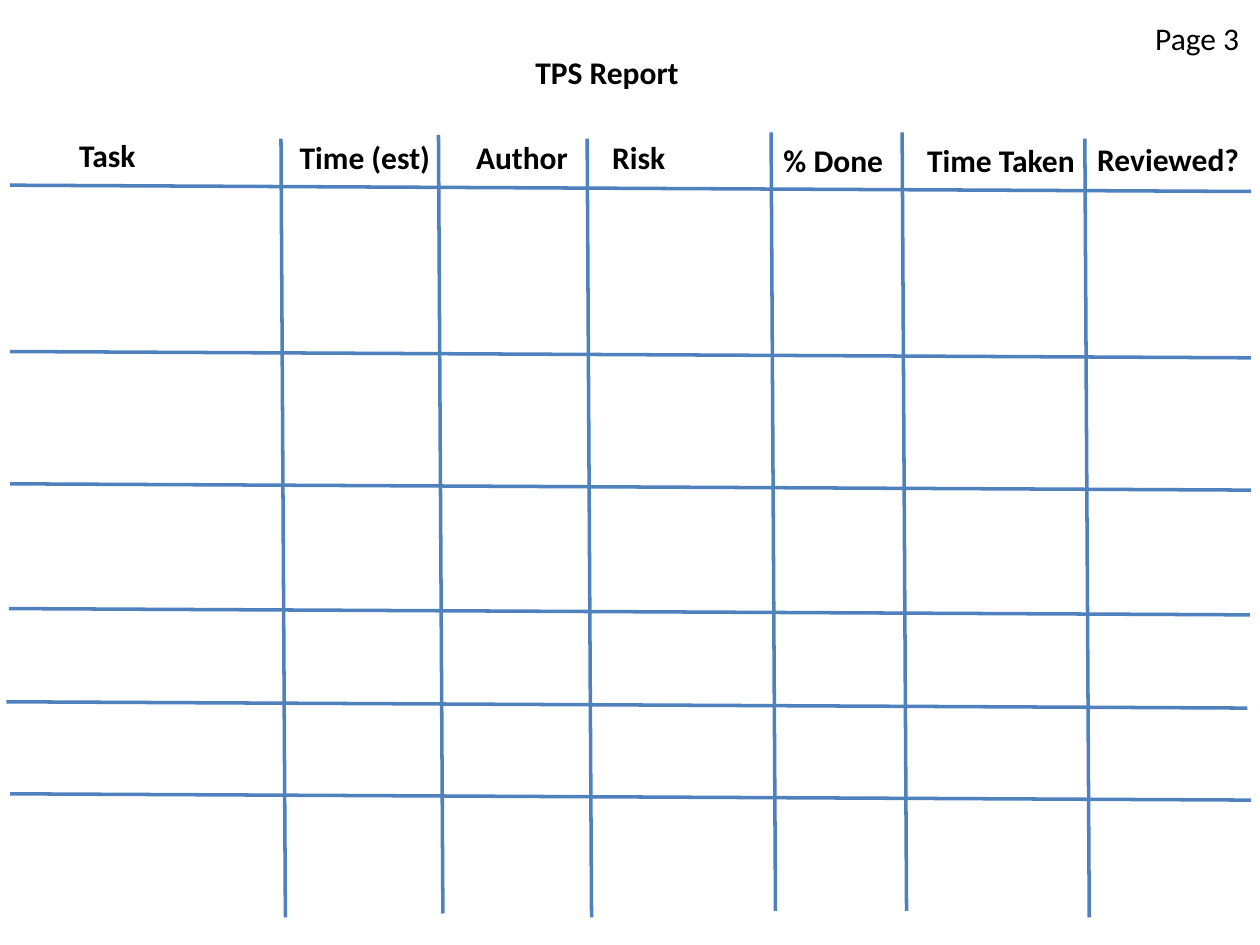
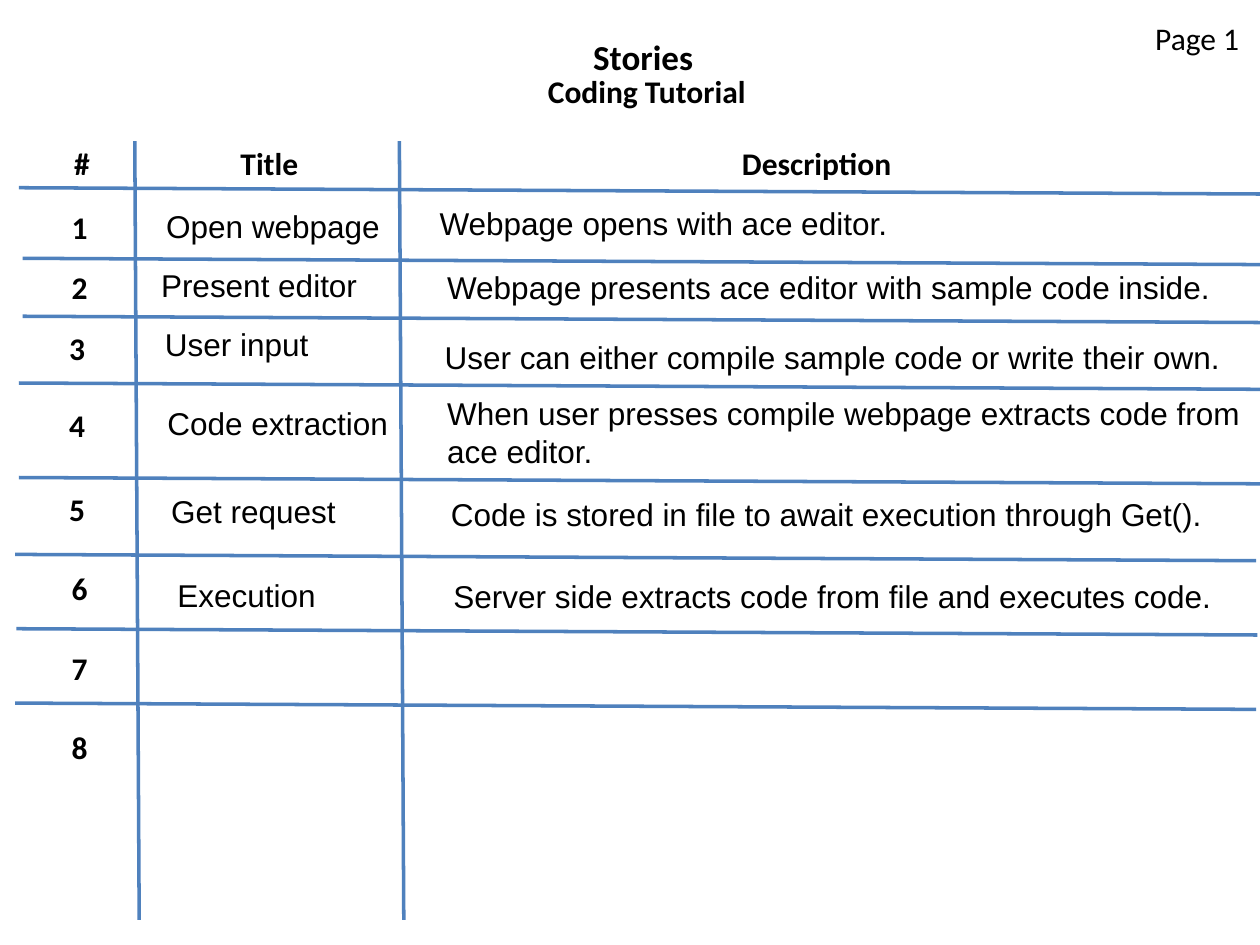
import pptx
import pptx.util
import pptx.dml.color
import pptx.enum.shapes
import pptx.enum.text
import pptx.oxml

BLACK = pptx.dml.color.RGBColor(0x00, 0x00, 0x00)
RULE_BLUE = pptx.dml.color.RGBColor(0x4F, 0x81, 0xBD)
HEADING_FONT = "Calibri"
BODY_FONT = "Arial"

SLIDE_WIDTH = pptx.util.Inches(10)
SLIDE_HEIGHT = pptx.util.Inches(7.5)
COLUMN = SLIDE_WIDTH / 100
ROW = SLIDE_HEIGHT / 75

LINE_HEIGHT = 4
LABEL_SLACK = 0.5
ROW_RULE_LENGTH, ROW_RULE_DROP = 98.5, 0.5
COLUMN_RULE_LENGTH, COLUMN_RULE_DRIFT = 61.8, 0.35
REPORT_HEADING_WIDTH = 15.2
NUMBER_WIDTH = 3.2

REPORT_HEADINGS = [
    ("Task", 5.3, 10.3),
    ("Time (est)", 22.8, 10.5),
    ("Author", 36.8, 10.5),
    ("Risk", 47.6, 10.5),
    ("% Done", 61.2, 10.7),
    ("Time Taken", 72.6, 10.7),
    ("Reviewed?", 86.1, 10.6),
]
REPORT_COLUMN_RULES = [
    (22.3, 11), (34.8, 10.7), (46.6, 11), (61.2, 10.5), (71.6, 10.5), (86.1, 11),
]
REPORT_ROW_RULES = [
    (0.8, 14.7), (0.8, 27.9), (0.8, 38.4), (0.7, 48.3), (0.5, 55.7), (0.8, 63),
]

STORY_HEADINGS = [("#", 4.9, 3.2), ("Title", 18.1, 6.6), ("Description", 57.9, 13.9)]
STORY_HEADING_TOP = 10.9
STORY_COLUMN_RULES = [(10.7, 11.2), (31.7, 11.2)]
STORY_ROW_RULES = [
    (1.5, 14.9), (1.8, 20.5), (1.8, 25.1), (1.5, 30.4),
    (1.5, 37.9), (1.2, 44), (1.3, 49.9), (1.2, 55.8),
]
STORY_NUMBERS = [
    (4.7, 16), (4.7, 20.8), (4.5, 25.6), (4.5, 31.7),
    (4.5, 38.4), (4.7, 44.7), (4.7, 51), (4.7, 57.3),
]
STORY_TITLES = [
    ("Open webpage", 12.2, 15.9, 18.9),
    ("Present editor", 11.8, 20.6, 17.5),
    ("User input", 12.1, 25.3, 13.3),
    ("Code extraction", 12.3, 31.6, 19.4),
    ("Get request", 12.6, 38.6, 15),
    ("Execution", 13.1, 45.2, 12.9),
]
STORY_DESCRIPTIONS = [
    ("Webpage opens with ace editor.", 33.9, 15.7, 37.4),
    ("Webpage presents ace editor with sample code inside.", 34.5, 20.8, 62.4),
    ("User can either compile sample code or write their own.", 34.3, 26.3, 63.4),
    ("When user presses compile webpage extracts code from\nace editor.", 34.5, 30.8, 64.8),
    ("Code is stored in file to await execution through Get().", 34.8, 38.8, 61.5),
    ("Server side extracts code from file and executes code.", 35, 45.3, 62.1),
]


def across(columns):
    return round(columns * COLUMN)


def down(rows):
    return round(rows * ROW)


def add_label(slide, text, left, top, width, font=HEADING_FONT, size=18, bold=False):
    height = LINE_HEIGHT + 3 * text.count("\n")
    label = slide.shapes.add_textbox(
        across(left), down(top), across(width + LABEL_SLACK), down(height)
    )
    text_frame = label.text_frame
    text_frame.text = text
    text_frame.word_wrap = True
    text_frame.auto_size = pptx.enum.text.MSO_AUTO_SIZE.NONE
    for paragraph in text_frame.paragraphs:
        for run in paragraph.runs:
            run.font.name = font
            run.font.size = pptx.util.Pt(size)
            run.font.bold = bold
            run.font.color.rgb = BLACK


def add_rule(slide, left, top, columns, rows):
    rule = slide.shapes.add_connector(
        pptx.enum.shapes.MSO_CONNECTOR.STRAIGHT,
        across(left), down(top), across(left + columns), down(top + rows),
    )
    rule.line.color.rgb = RULE_BLUE
    rule.line.width = pptx.util.Pt(2)
    rule._element.spPr.append(pptx.oxml.parse_xml(
        '<a:effectLst xmlns:a="http://schemas.openxmlformats.org/drawingml/2006/main"/>'
    ))


def add_ruled_slide(presentation, page, column_rules, row_rules):
    slide = presentation.slides.add_slide(presentation.slide_layouts[6])
    for left, top in column_rules:
        add_rule(slide, left, top, COLUMN_RULE_DRIFT, COLUMN_RULE_LENGTH)
    for left, top in row_rules:
        add_rule(slide, left, top, ROW_RULE_LENGTH, ROW_RULE_DROP)
    add_label(slide, f"Page {page}", 90.7, 1, 8.6)
    return slide


def add_report(presentation):
    slide = add_ruled_slide(presentation, 3, REPORT_COLUMN_RULES, REPORT_ROW_RULES)
    add_label(slide, "TPS Report", 41.5, 3.7, 13.7, bold=True)
    for heading, left, top in REPORT_HEADINGS:
        add_label(slide, heading, left, top, REPORT_HEADING_WIDTH, bold=True)


def add_stories(presentation):
    slide = add_ruled_slide(presentation, 1, STORY_COLUMN_RULES, STORY_ROW_RULES)
    add_label(slide, "Stories", 46.1, 2.3, 9.9, size=20, bold=True)
    add_label(slide, "Coding Tutorial", 42.5, 5.2, 18.3, bold=True)
    for heading, left, width in STORY_HEADINGS:
        add_label(slide, heading, left, STORY_HEADING_TOP, width, bold=True)
    for number, (left, top) in enumerate(STORY_NUMBERS, start=1):
        add_label(slide, str(number), left, top, NUMBER_WIDTH, bold=True)
    for text, left, top, width in STORY_TITLES + STORY_DESCRIPTIONS:
        add_label(slide, text, left, top, width, font=BODY_FONT)


def main():
    presentation = pptx.Presentation()
    presentation.slide_width = SLIDE_WIDTH
    presentation.slide_height = SLIDE_HEIGHT
    add_report(presentation)
    add_stories(presentation)
    presentation.save("out.pptx")


if __name__ == "__main__":
    main()
